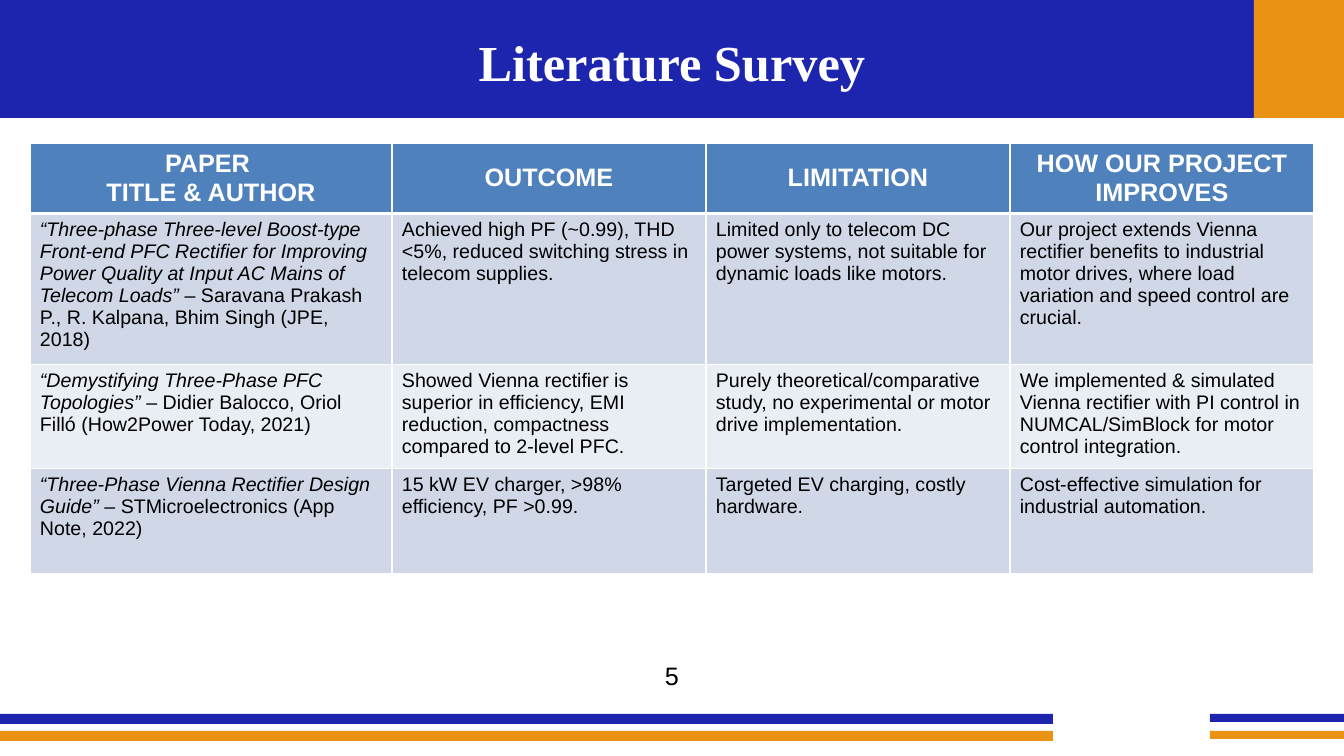
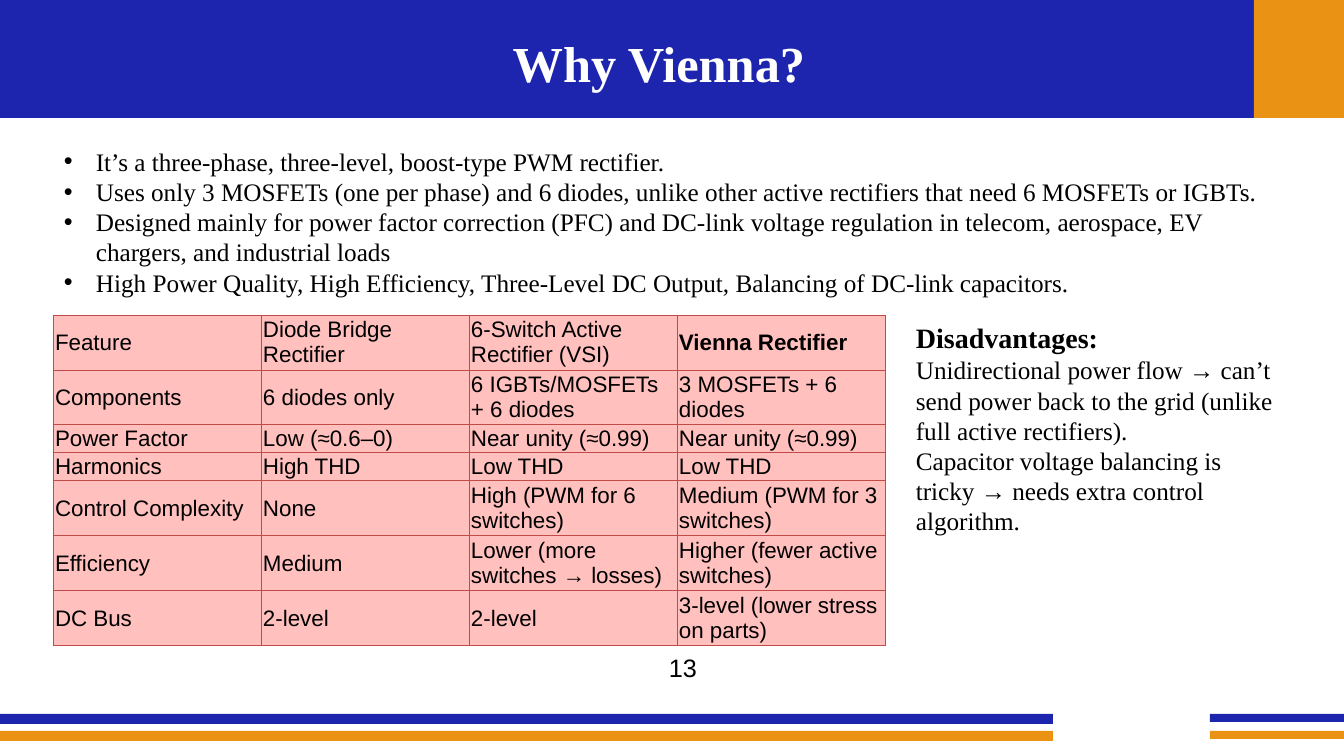
from lxml.etree import SubElement
from pptx import Presentation
from pptx.dml.color import RGBColor
from pptx.enum.shapes import MSO_SHAPE as Shape
from pptx.enum.text import MSO_ANCHOR as Anchor, MSO_AUTO_SIZE as AutoSize, PP_ALIGN as Align
from pptx.oxml.ns import qn
from pptx.util import Emu, Pt

SCALE = 12192000 / 1344
BLUE, ORANGE, WHITE, BLACK = "1D24AD", "E99213", "FFFFFF", "000000"
HEADER, BAND, LIGHT_BAND = "4F81BD", "D0D8E8", "E9EDF4"
PINK, RED = "FFC0BE", "BF4C48"
SERIF, SANS = "Times New Roman", "Arial"
colour = RGBColor.from_string


def px(length):
    return Emu(round(length * SCALE))


def write(frame, lines, style, hue=BLACK, align=Align.LEFT):
    """Each line is a string or a list of (text, extra format) runs."""
    frame.word_wrap = True
    for index, line in enumerate(lines):
        paragraph = frame.paragraphs[0] if index == 0 else frame.add_paragraph()
        paragraph.alignment = align
        for text, extra in [(line, {})] if isinstance(line, str) else line:
            run = paragraph.add_run()
            run.text = text
            for name, value in {**style, **extra}.items():
                setattr(run.font, name, value)
            run.font.color.rgb = colour(hue)


presentation = Presentation()
presentation.slide_width, presentation.slide_height = px(1344), px(756)
layout = presentation.slide_layouts[5]

# Titles and page numbers: title, title box, page number, number box
title_style = {"name": SERIF, "size": Pt(36), "bold": True}
number_style = {"name": SANS, "size": Pt(18)}
pages = [
    ("Literature Survey", (451, 30, 442, 63), "5", (655, 655, 34, 40)),
    ("Why Vienna?", (302, 31, 714, 63), "13", (659, 647, 101, 40)),
]
slides = []
for title_text, title_box, number, number_box in pages:
    slide = presentation.slides.add_slide(layout)
    slides.append(slide)
    title = slide.shapes.title
    title.left, title.top, title.width, title.height = map(px, title_box)
    frame = title.text_frame
    frame.margin_left = frame.margin_right = frame.margin_bottom = 0
    frame.margin_top = px(1)
    frame.vertical_anchor = Anchor.TOP
    frame.auto_size = AutoSize.NONE
    write(frame, [title_text], title_style, WHITE, Align.CENTER)
    number_shape = slide.shapes.add_textbox(*map(px, number_box))
    write(number_shape.text_frame, [number], number_style)
survey, vienna = slides

# Bands shared by all slides, moved to the layout
bands = [
    (0, 0, 1254, 118, BLUE),
    (1254, 0, 90, 118, ORANGE),
    (0, 731, 1053, 10, ORANGE),
    (0, 714, 1053, 10, BLUE),
    (1210, 731, 134, 8, ORANGE),
    (1210, 714, 134, 8, BLUE),
]
for index, (*box, hue) in enumerate(bands):
    band = survey.shapes.add_shape(Shape.RECTANGLE, *map(px, box))
    band.shadow.inherit = False
    band.fill.solid()
    band.fill.fore_color.rgb = colour(hue)
    band.line.fill.background()
    layout.shapes.element.insert(2 + index, band.element)

# Bullets on the second slide
body_style = {"name": SERIF, "size": Pt(18)}
bullets = vienna.shapes.add_textbox(*map(px, (54, 141, 1222, 170)))
write(bullets.text_frame, [
    "It’s a three-phase, three-level, boost-type PWM rectifier.",
    "Uses only 3 MOSFETs (one per phase) and 6 diodes, unlike other active rectifiers "
    "that need 6 MOSFETs or IGBTs.",
    "Designed mainly for power factor correction (PFC) and DC-link voltage regulation "
    "in telecom, aerospace, EV chargers, and industrial loads",
    "High Power Quality, High Efficiency, Three-Level DC Output, "
    "Balancing of DC-link capacitors.",
], body_style)
for paragraph in bullets.text_frame.paragraphs:
    properties = paragraph._p.get_or_add_pPr()
    properties.set("marL", str(px(32)))
    properties.set("indent", str(px(-32)))
    SubElement(properties, qn("a:buFont")).set("typeface", SANS)
    SubElement(properties, qn("a:buChar")).set("char", "•")

# Disadvantages beside the comparison
disadvantages = vienna.shapes.add_textbox(*map(px, (906, 316, 384, 258)))
write(disadvantages.text_frame, [
    [("Disadvantages:", {"size": Pt(20), "bold": True})],
    "Unidirectional power flow → can’t send power back to the grid "
    "(unlike full active rectifiers).",
    "Capacitor voltage balancing is tricky → needs extra control algorithm.",
], body_style)

# Table contents: each cell is a list of lines
italic = {"italic": True}
survey_rows = [
    [["PAPER ", "TITLE & AUTHOR"], ["OUTCOME"], ["LIMITATION"], ["HOW OUR PROJECT IMPROVES"]],
    [
        [[("“Three-phase Three-level Boost-type Front-end PFC Rectifier for Improving "
           "Power Quality at Input AC Mains of Telecom Loads”", italic),
          (" – Saravana Prakash P., R. Kalpana, Bhim Singh (JPE, 2018)", {})]],
        ["Achieved high PF (~0.99), THD <5%, reduced switching stress in telecom supplies."],
        ["Limited only to telecom DC power systems, not suitable for dynamic loads like motors."],
        ["Our project extends Vienna rectifier benefits to industrial motor drives, "
         "where load variation and speed control are crucial."],
    ],
    [
        [[("“Demystifying Three-Phase PFC Topologies”", italic),
          (" – Didier Balocco, Oriol Filló (How2Power Today, 2021)", {})]],
        ["Showed Vienna rectifier is superior in efficiency, EMI reduction, "
         "compactness compared to 2-level PFC."],
        ["Purely theoretical/comparative study, no experimental or motor drive implementation."],
        ["We implemented & simulated Vienna rectifier with PI control in "
         "NUMCAL/SimBlock for motor control integration."],
    ],
    [
        [[("“Three-Phase Vienna Rectifier Design Guide”", italic),
          (" – STMicroelectronics (App Note, 2022)", {})]],
        ["15 kW EV charger, >98% efficiency, PF >0.99."],
        ["Targeted EV charging, costly hardware."],
        ["Cost-effective simulation for industrial automation."],
    ],
]
feature_rows = [
    ["Feature", "Diode Bridge Rectifier", "6-Switch Active Rectifier (VSI)",
     [("Vienna Rectifier", {"bold": True})]],
    ["Components", "6 diodes only", "6 IGBTs/MOSFETs + 6 diodes", "3 MOSFETs + 6 diodes"],
    ["Power Factor", "Low (≈0.6–0)", "Near unity (≈0.99)", "Near unity (≈0.99)"],
    ["Harmonics", "High THD", "Low THD", "Low THD"],
    ["Control Complexity", "None", "High (PWM for 6 switches)", "Medium (PWM for 3 switches)"],
    ["Efficiency", "Medium", "Lower (more switches → losses)", "Higher (fewer active switches)"],
    ["DC Bus", "2-level", "2-level", "3-level (lower stress on parts)"],
]
feature_rows = [[[line] for line in row] for row in feature_rows]

# Row looks: fill, text colour, alignment, anchor, text style
header_look = (HEADER, WHITE, Align.CENTER, Anchor.MIDDLE,
               {"name": SANS, "size": Pt(18), "bold": True})
survey_style = {"name": SANS, "size": Pt(14), "bold": False}
band_look = (BAND, BLACK, Align.LEFT, Anchor.TOP, survey_style)
light_look = (LIGHT_BAND, *band_look[1:])
feature_look = (PINK, BLACK, Align.LEFT, Anchor.MIDDLE,
                {"name": SANS, "size": Pt(16), "bold": False})

# Tables: slide, corner, widths, heights, rows, looks, margins, border colour, width, header rule
tables = [
    (survey, (30, 143), [362, 314, 304, 304], [70, 151, 104, 105], survey_rows,
     [header_look, band_look, light_look, band_look], (10, 5), WHITE, 1, 3),
    (vienna, (53, 315), [208] * 4, [55, 55, 28, 28, 55, 55, 55], feature_rows,
     [feature_look] * 7, (2, 0), RED, 0.75, 0.75),
]
for slide, corner, widths, heights, rows, looks, margins, border, thin, rule in tables:
    box = (*corner, sum(widths), sum(heights))
    table = slide.shapes.add_table(len(rows), len(widths), *map(px, box)).table
    table.first_row = table.horz_banding = False
    for column, width in zip(table.columns, widths):
        column.width = px(width)
    for row, height in zip(table.rows, heights):
        row.height = px(height)
    for row_index, (cells, look) in enumerate(zip(rows, looks)):
        fill, hue, align, anchor, style = look
        for column_index, lines in enumerate(cells):
            cell = table.cell(row_index, column_index)
            cell.margin_left = cell.margin_right = px(margins[0])
            cell.margin_top = cell.margin_bottom = px(margins[1])
            cell.vertical_anchor = anchor
            write(cell.text_frame, lines, style, hue, align)
            # Borders come before the fill in the cell properties
            for side in ("L", "R", "T", "B"):
                under_header = (row_index, side) in [(0, "B"), (1, "T")]
                line = SubElement(cell._tc.get_or_add_tcPr(), qn(f"a:ln{side}"))
                line.set("w", str(Pt(rule if under_header else thin)))
                line_fill = SubElement(line, qn("a:solidFill"))
                SubElement(line_fill, qn("a:srgbClr")).set("val", border)
            cell.fill.solid()
            cell.fill.fore_color.rgb = colour(fill)

presentation.save("out.pptx")
